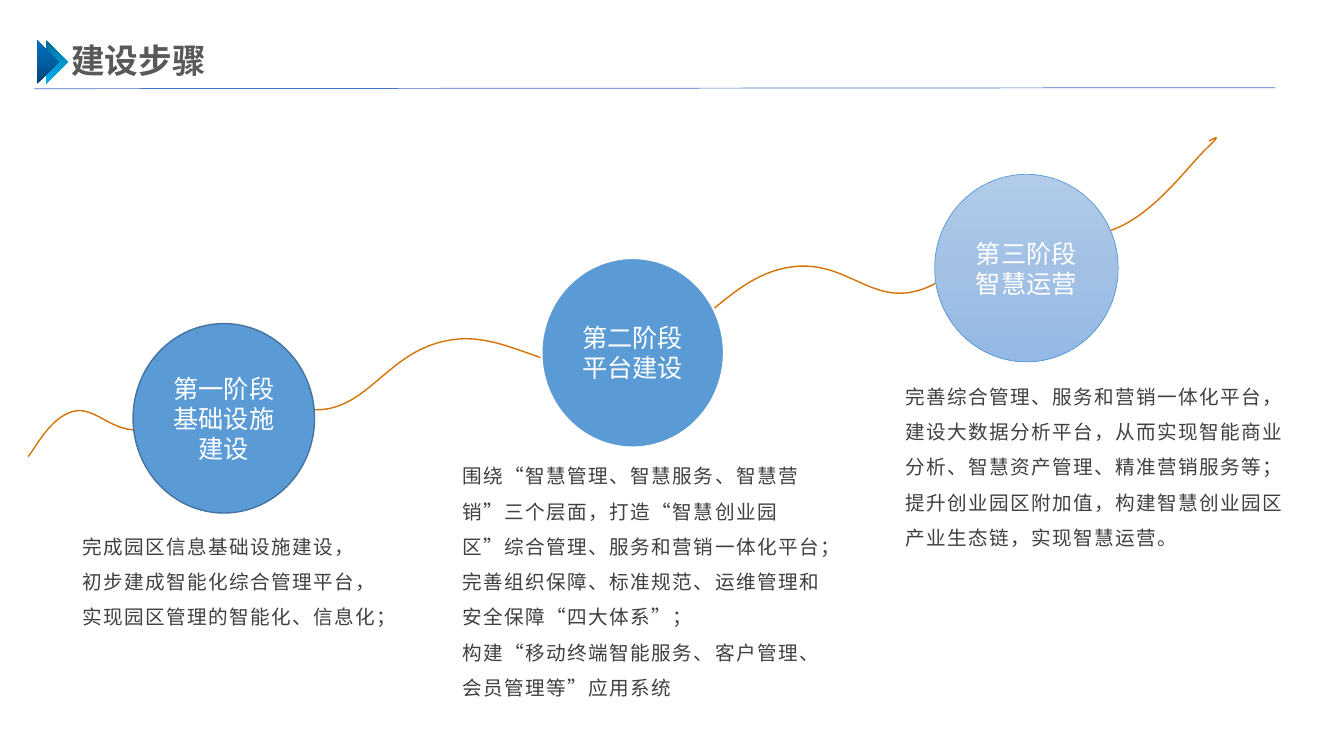
from lxml import etree
from pptx import Presentation
from pptx.dml.color import RGBColor
from pptx.enum.shapes import MSO_CONNECTOR as CONNECTOR, MSO_SHAPE as SHAPE
from pptx.enum.text import MSO_ANCHOR as ANCHOR, PP_ALIGN as ALIGN
from pptx.oxml import parse_xml
from pptx.oxml.ns import nsdecls, qn
from pptx.util import Inches, Pt

FONT = "Noto Sans CJK SC"


def color(value):
    return RGBColor.from_string(value)


def write(shape, lines, formats, align=ALIGN.LEFT, line_spacing=1.0, tracking=0):
    frame = shape.text_frame
    frame.text = "\n".join(lines)
    for paragraph in frame.paragraphs:
        paragraph.alignment = align
        paragraph.line_spacing = line_spacing
        run = paragraph.runs[0]
        run.font.color.rgb = color(formats["color"])
        for name, value in {"name": FONT, "size": Pt(formats["size"]),
                            "bold": formats.get("bold", False)}.items():
            setattr(run.font, name, value)
        properties = run.font._element
        properties.set("lang", "zh-CN")
        properties.set("spc", str(tracking * 100))
        etree.SubElement(properties, qn("a:ea")).set("typeface", FONT)


def fill_gradient(shape, colors, angle):
    stops = "".join(f'<a:gs pos="{index * 50000}"><a:srgbClr val="{value}"/></a:gs>'
                    for index, value in enumerate(colors))
    gradient = parse_xml(f'<a:gradFill {nsdecls("a")} rotWithShape="1"><a:gsLst>{stops}'
                         f'</a:gsLst><a:lin ang="{angle * 60000}" scaled="0"/></a:gradFill>')
    shape._element.spPr.find(qn("a:prstGeom")).addnext(gradient)


presentation = Presentation()
presentation.slide_width = Inches(13.33)
presentation.slide_height = Inches(7.5)
slide = presentation.slides.add_slide(presentation.slide_layouts[6])
shapes = slide.shapes

# Heading: two overlapping arrowheads, rule and title
for left, colors, angle in [(0.3, ("00688E", "0094CA", "00B0F0"), 225),
                            (0.21, ("004272", "005EA2", "0070C0"), 45)]:
    triangle = shapes.add_shape(SHAPE.RIGHT_TRIANGLE, Inches(left), Inches(0.46),
                                Inches(0.31), Inches(0.31))
    triangle.rotation = 225
    triangle.shadow.inherit = False
    triangle.line.fill.background()
    fill_gradient(triangle, colors, angle)

rule = shapes.add_connector(CONNECTOR.STRAIGHT, Inches(0.34), Inches(0.88),
                            Inches(12.65), Inches(0.87))
rule.line.color.rgb = color("4472C4")
rule.line.width = Pt(0.5)
etree.SubElement(rule._element.spPr, qn("a:effectLst"))

title = shapes.add_textbox(Inches(0.61), Inches(0.35), Inches(1.55), Inches(0.5))
title.text_frame.word_wrap = False
write(title, ["建设步骤"], {"size": 24, "color": "595959", "bold": True})

# Rising path: a start point, then two handles and an end point per curve
path_points = [
    (0.28, 4.53),
    (0.36, 4.43), (0.5, 4.14), (0.73, 4.08),
    (0.96, 4.03), (1.11, 4.31), (1.43, 4.26),
    (1.75, 4.22), (1.96, 3.89), (2.33, 3.85),
    (2.7, 3.81), (2.85, 4.14), (3.28, 4.05),
    (3.71, 3.95), (3.91, 3.45), (4.49, 3.37),
    (5.06, 3.29), (5.5, 3.77), (6.15, 3.63),
    (6.8, 3.49), (7.17, 2.81), (7.74, 2.67),
    (8.32, 2.52), (8.58, 2.98), (9.03, 2.9),
    (9.49, 2.82), (9.61, 2.39), (10.02, 2.26),
    (10.42, 2.14), (10.67, 2.43), (11.06, 2.27),
    (11.46, 2.11), (11.79, 1.64), (11.97, 1.47),
    (12.16, 1.29), (12, 1.4), (11.99, 1.4),
]
start, *handles = [(Inches(x), Inches(y)) for x, y in path_points]
builder = shapes.build_freeform(*start)
builder.add_line_segments(handles, close=False)
curve = builder.convert_to_shape()
curve.shadow.inherit = False
curve.fill.background()
curve.line.color.rgb = color("D67206")
curve.line.width = Pt(1)

# Turn each three straight segments into one cubic curve
outline = next(curve._element.iter(qn("a:path")))
segments = outline.findall(qn("a:lnTo"))
for first in range(0, len(segments), 3):
    cubic = etree.SubElement(outline, qn("a:cubicBezTo"))
    for segment in segments[first:first + 3]:
        cubic.append(segment[0])
        outline.remove(segment)

# Stages: circle box, fill, outline, label, then text box and its paragraphs
stages = [
    ((1.32, 3.21, 1.8, 1.88), ["5B9BD5"], ("43739E", 1),
     ["第一阶段", "基础设施建设"],
     (0.72, 5.14, 3.19, 1.16),
     ["完成园区信息基础设施建设，",
      "初步建成智能化综合管理平台，",
      "实现园区管理的智能化、信息化；"]),
    ((5.37, 2.56, 1.81, 1.88), ["5B9BD5"], ("FFFFFF", 1.5),
     ["第二阶段", "平台建设"],
     (4.49, 4.44, 3.81, 2.57),
     ["围绕“智慧管理、智慧服务、智慧营销”三个层面，打造“智慧创业园区”综合管理、服务和营销一体化平台；",
      "完善组织保障、标准规范、运维管理和安全保障“四大体系”；",
      "构建“移动终端智能服务、客户管理、会员管理等”应用系统"]),
    ((9.27, 1.73, 1.82, 1.86), ["B1CBE9", "A3C1E5", "93B9E4"], ("5B9BD5", 0.5),
     ["第三阶段", "智慧运营"],
     (8.88, 3.65, 3.99, 1.87),
     ["完善综合管理、服务和营销一体化平台，",
      "建设大数据分析平台，从而实现智能商业分析、智慧资产管理、精准营销服务等；",
      "提升创业园区附加值，构建智慧创业园区产业生态链，实现智慧运营。"]),
]
for circle_box, fills, (line_color, line_width), label, text_box, details in stages:
    circle = shapes.add_shape(SHAPE.OVAL, *map(Inches, circle_box))
    circle.shadow.inherit = False
    if len(fills) == 1:
        circle.fill.solid()
        circle.fill.fore_color.rgb = color(fills[0])
    else:
        fill_gradient(circle, fills, 90)
    circle.line.color.rgb = color(line_color)
    circle.line.width = Pt(line_width)
    circle.text_frame.word_wrap = True
    circle.text_frame.vertical_anchor = ANCHOR.MIDDLE
    write(circle, label, {"size": 18, "color": "FFFFFF"}, align=ALIGN.CENTER)

    description = shapes.add_textbox(*map(Inches, text_box))
    description.text_frame.word_wrap = True
    write(description, details, {"size": 14, "color": "404040"},
          line_spacing=1.5, tracking=1)

presentation.save("out.pptx")
